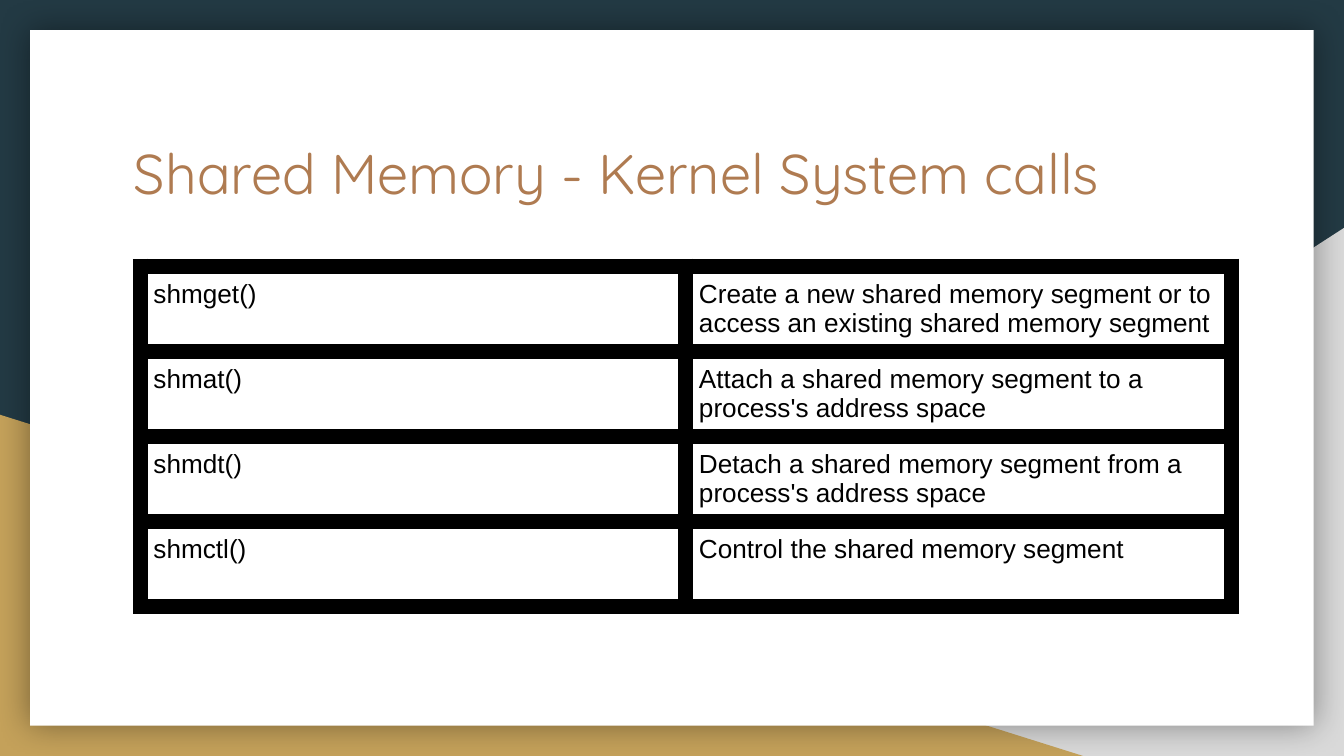
"""Build a slide that lists the kernel system calls for shared memory."""
from dataclasses import dataclass

from lxml import etree
from pptx import Presentation
from pptx.dml.color import RGBColor
from pptx.enum import shapes, text
from pptx.oxml import ns
from pptx.util import Cm, Pt

TITLE = "Shared Memory - Kernel System calls"
CALLS = [
    ("shmget()", "Create a new shared memory segment or to access an existing shared memory segment"),
    ("shmat()", "Attach a shared memory segment to a process's address space"),
    ("shmdt()", "Detach a shared memory segment from a process's address space"),
    ("shmctl()", "Control the shared memory segment"),
]


@dataclass(frozen=True)
class Theme:
    navy: str = "233A44"
    grey: str = "D9D9D9"
    gold: str = "C4A15A"
    white: str = "FFFFFF"
    copper: str = "AF7B51"
    black: str = "000000"
    title_font: str = "Quicksand"
    body_font: str = "Arial"
    title_size: int = 30
    body_size: int = 14
    border_width: int = 9
    shadow_blur: int = 18
    shadow_alpha: int = 40


THEME = Theme()
WIDTH, HEIGHT = 25.4, 14.29
CARD_MARGIN = 0.57
TITLE_AREA = (2.28, 2.36, 20.85, 2.64)
TABLE_LEFT, TABLE_TOP = 2.65, 5.03
COLUMN_WIDTH, ROW_HEIGHT = 10.31, 1.61
PADDING, CELL_BOTTOM = 0.25, 0.15
GREY_WIDTH, GREY_HEIGHT = 15.44, 9.98
GOLD_WIDTH, GOLD_HEIGHT = 20.47, 6.45
TRIANGLE = shapes.MSO_SHAPE.RIGHT_TRIANGLE
BACKDROP = [
    (TRIANGLE, (WIDTH - GREY_WIDTH, HEIGHT - GREY_HEIGHT, GREY_WIDTH, GREY_HEIGHT), THEME.grey),
    (TRIANGLE, (0, HEIGHT - GOLD_HEIGHT, GOLD_WIDTH, GOLD_HEIGHT), THEME.gold),
    (shapes.MSO_SHAPE.RECTANGLE,
     (CARD_MARGIN, CARD_MARGIN, WIDTH - 2 * CARD_MARGIN, HEIGHT - 2 * CARD_MARGIN), THEME.white),
]
MARGINS = {f"margin_{side}": Cm(PADDING) for side in ("left", "top", "right", "bottom")}
CELL_MARGINS = {**MARGINS, "margin_bottom": Cm(CELL_BOTTOM)}
TITLE_FORMAT = {"name": THEME.title_font, "size": Pt(THEME.title_size)}
BODY_FORMAT = {"name": THEME.body_font, "size": Pt(THEME.body_size)}


def apply(target, values):
    for name, value in values.items():
        setattr(target, name, value)


def write(frame, words, font_format, color):
    span = frame.paragraphs[0].add_run()
    span.text = words
    apply(span.font, font_format)
    span.font.color.rgb = RGBColor.from_string(color)


def add_backdrop(page):
    page.background.fill.solid()
    page.background.fill.fore_color.rgb = RGBColor.from_string(THEME.navy)
    pieces = []
    for kind, area, color in BACKDROP:
        piece = page.shapes.add_shape(kind, *map(Cm, area))
        piece.shadow.inherit = False
        piece.fill.solid()
        piece.fill.fore_color.rgb = RGBColor.from_string(color)
        piece.line.fill.background()
        pieces.append(piece)
    grey_corner, _, card = pieces
    grey_corner.element.spPr.find(ns.qn("a:xfrm")).set("flipH", "1")
    effects = card.element.spPr.find(ns.qn("a:effectLst"))
    shadow = etree.SubElement(effects, ns.qn("a:outerShdw"),
                              blurRad=str(Pt(THEME.shadow_blur)), dist="0",
                              algn="ctr", rotWithShape="0")
    tint = etree.SubElement(shadow, ns.qn("a:srgbClr"), val=THEME.black)
    etree.SubElement(tint, ns.qn("a:alpha"), val=str(THEME.shadow_alpha * 1000))


def add_title(page):
    box = page.shapes.add_textbox(*map(Cm, TITLE_AREA))
    apply(box.text_frame, {**MARGINS, "word_wrap": True,
                           "vertical_anchor": text.MSO_ANCHOR.TOP})
    write(box.text_frame, TITLE, TITLE_FORMAT, THEME.copper)


def add_borders(cell):
    properties = cell._tc.get_or_add_tcPr()
    for side in ("lnL", "lnR", "lnT", "lnB"):
        border = etree.SubElement(properties, ns.qn(f"a:{side}"),
                                  w=str(Pt(THEME.border_width)))
        fill = etree.SubElement(border, ns.qn("a:solidFill"))
        etree.SubElement(fill, ns.qn("a:srgbClr"), val=THEME.black)


def add_call_table(page):
    rows, columns = len(CALLS), len(CALLS[0])
    area = (TABLE_LEFT, TABLE_TOP, columns * COLUMN_WIDTH, rows * ROW_HEIGHT)
    table = page.shapes.add_table(rows, columns, *map(Cm, area)).table
    apply(table, {"first_row": False, "horz_banding": False})
    for row, call in zip(table.rows, CALLS):
        for cell, words in zip(row.cells, call):
            apply(cell, CELL_MARGINS)
            add_borders(cell)
            cell.fill.background()
            write(cell.text_frame, words, BODY_FORMAT, THEME.black)


def main():
    deck = Presentation()
    apply(deck, {"slide_width": Cm(WIDTH), "slide_height": Cm(HEIGHT)})
    page = deck.slides.add_slide(deck.slide_layouts[6])
    add_backdrop(page)
    add_title(page)
    add_call_table(page)
    deck.save("out.pptx")


if __name__ == "__main__":
    main()
